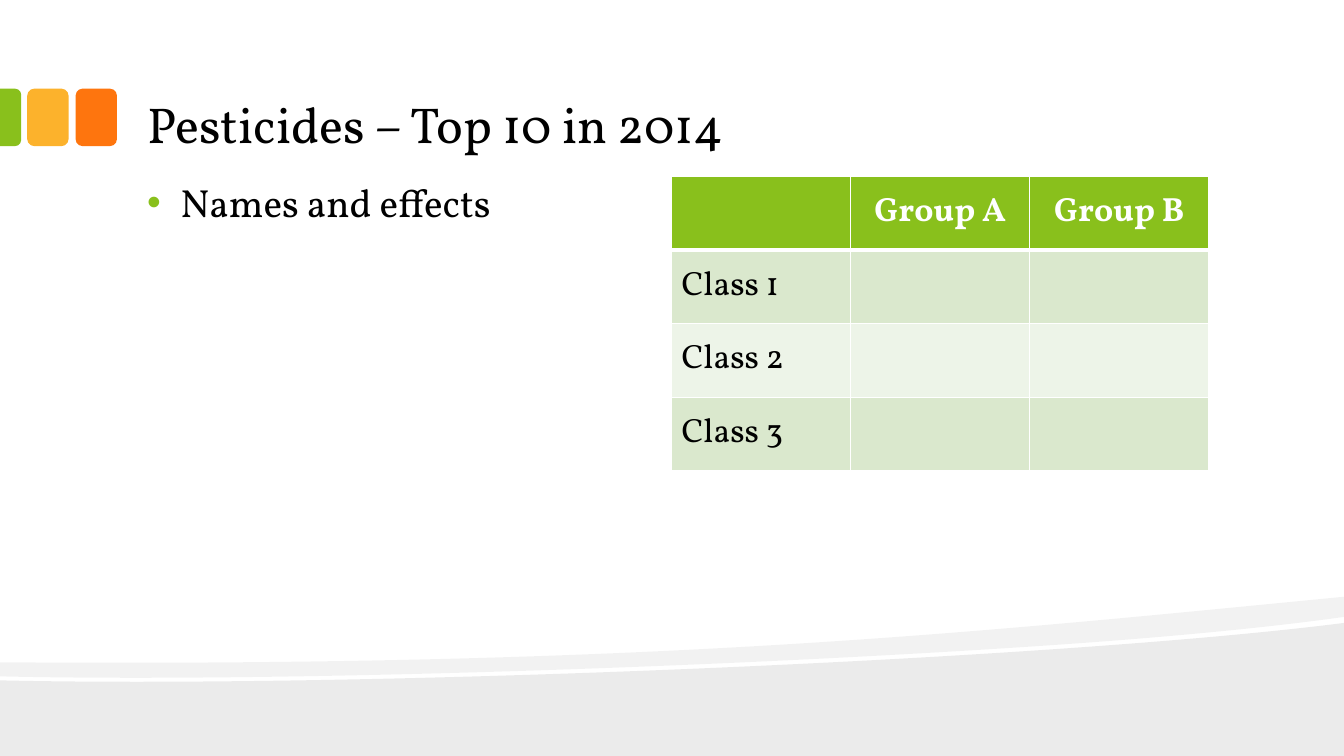
from dataclasses import dataclass

from lxml import etree
from pptx import Presentation
from pptx.dml.color import RGBColor
from pptx.enum.shapes import MSO_SHAPE
from pptx.enum.text import MSO_ANCHOR, PP_ALIGN
from pptx.oxml.ns import qn
from pptx.util import Inches, Pt

ROUNDED, ROUND_TOP = MSO_SHAPE.ROUNDED_RECTANGLE, MSO_SHAPE.ROUND_2_SAME_RECTANGLE
TOP, MIDDLE, BOTTOM = MSO_ANCHOR.TOP, MSO_ANCHOR.MIDDLE, MSO_ANCHOR.BOTTOM
LEFT, CENTER = PP_ALIGN.LEFT, PP_ALIGN.CENTER
WIDTH, HEIGHT = 13.33, 7.5
Point = tuple[float, float]


@dataclass(frozen=True)
class Theme:
    font: str = "Vollkorn"
    bullet_font: str = "Arial"
    ink: str = "000000"
    paper: str = "FFFFFF"
    green: str = "89C01C"
    yellow: str = "FCB22C"
    orange: str = "FE750E"
    bands: tuple[str, str] = ("DAE8CD", "EDF4E8")
    title: int = 36
    body: int = 28
    table: int = 24


@dataclass(frozen=True)
class Tile:
    left: float
    top: float
    width: float
    height: float
    color: str
    preset: int = ROUNDED
    rotation: int = 0
    corner: float = 0.17


@dataclass(frozen=True)
class Wave:
    """An outline whose segments are lines (one point) or curves (three points)."""
    start: Point
    segments: tuple[tuple[Point, ...], ...]
    opacity: int


THEME = Theme()
HILL = Wave((WIDTH, 6.18), (
    ((WIDTH, HEIGHT),),
    ((0, HEIGHT),),
    ((0, 6.75),),
    ((3.52, 6.83), (10.42, 6.55), (WIDTH, 6.18)),
), 8)
RIBBON = Wave((WIDTH, 5.92), (
    ((WIDTH, 6.12),),
    ((12.55, 6.23), (11.49, 6.33), (10.29, 6.41)),
    ((6.98, 6.63), (2.58, 6.77), (0, 6.71)),
    ((0, 6.57),),
    ((6.52, 6.62), (9.71, 6.27), (WIDTH, 5.92)),
), 5)
TILES = (
    Tile(0.75, 0.88, 0.41, 0.57, THEME.orange),
    Tile(0.27, 0.88, 0.41, 0.57, THEME.yellow),
    Tile(-0.18, 1.06, 0.57, 0.21, THEME.green, ROUND_TOP, 90, 0.29),
)
ROWS = (
    ("", "Group A", "Group B"),
    ("Class 1", "", ""),
    ("Class 2", "", ""),
    ("Class 3", "", ""),
)


def paint(shape, color: str) -> None:
    shape.shadow.inherit = False
    shape.fill.solid()
    shape.fill.fore_color.rgb = RGBColor.from_string(color)
    shape.line.fill.background()


def add_wave(page, wave: Wave) -> None:
    points = [(Inches(x), Inches(y)) for segment in wave.segments for x, y in segment]
    builder = page.shapes.build_freeform(*map(Inches, wave.start))
    builder.add_line_segments(points, close=True)
    shape = builder.convert_to_shape()
    paint(shape, THEME.ink)
    tint = shape._element.spPr.find(qn("a:solidFill")).find(qn("a:srgbClr"))
    etree.SubElement(tint, qn("a:alpha"), val=str(wave.opacity * 1000))
    # Merge the three steps of each curve into one Bezier segment
    steps = iter(list(shape._element.iter(qn("a:lnTo"))))
    for segment in wave.segments:
        parts = [next(steps) for _ in segment]
        if len(parts) == 3:
            bend = etree.Element(qn("a:cubicBezTo"))
            parts[0].addprevious(bend)
            for part in parts:
                bend.append(part[0])
                part.getparent().remove(part)


def add_tile(page, tile: Tile) -> None:
    box = (tile.left, tile.top, tile.width, tile.height)
    shape = page.shapes.add_shape(tile.preset, *map(Inches, box))
    shape.adjustments[0] = tile.corner
    shape.rotation = tile.rotation
    paint(shape, tile.color)


def write(para, text: str, size: int, color: str = THEME.ink, bold: bool = False) -> None:
    span = para.add_run()
    span.text = text
    formats = {"name": THEME.font, "size": Pt(size), "bold": bold}
    for name, value in formats.items():
        setattr(span.font, name, value)
    span.font.color.rgb = RGBColor.from_string(color)


def add_text(page, box: tuple[float, ...], text: str, size: int, anchor):
    frame = page.shapes.add_textbox(*map(Inches, box)).text_frame
    formats = {
        "word_wrap": True, "vertical_anchor": anchor,
        "margin_left": Inches(0.13), "margin_right": Inches(0.13),
        "margin_top": Inches(0.07), "margin_bottom": Inches(0.07),
    }
    for name, value in formats.items():
        setattr(frame, name, value)
    para = frame.paragraphs[0]
    write(para, text, size)
    return para


def add_bullet(para, color: str, indent: float) -> None:
    props = para._p.get_or_add_pPr()
    props.set("marL", str(Inches(indent)))
    props.set("indent", str(-Inches(indent)))
    tint = etree.SubElement(props, qn("a:buClr"))
    etree.SubElement(tint, qn("a:srgbClr"), val=color)
    etree.SubElement(props, qn("a:buFont"), typeface=THEME.bullet_font)
    etree.SubElement(props, qn("a:buChar"), char="•")


def add_border(cell, side: str, points: int) -> None:
    props = cell._tc.get_or_add_tcPr()
    line = etree.SubElement(props, qn(f"a:{side}"), w=str(Pt(points)))
    fill = etree.SubElement(line, qn("a:solidFill"))
    etree.SubElement(fill, qn("a:srgbClr"), val=THEME.paper)


def add_groups_table(page) -> None:
    box = (6.66, 1.75, 5.33, 2.92)
    table = page.shapes.add_table(len(ROWS), len(ROWS[0]), *map(Inches, box)).table
    table.horz_banding = False
    for row_index, texts in enumerate(ROWS):
        header = row_index == 0
        widths = {"lnL": 1, "lnR": 1, "lnT": 3 if row_index == 1 else 1, "lnB": 3 if header else 1}
        for column, text in enumerate(texts):
            cell = table.cell(row_index, column)
            cell.vertical_anchor = MIDDLE
            for side, points in widths.items():
                add_border(cell, side, points)
            cell.fill.solid()
            color = THEME.green if header else THEME.bands[(row_index - 1) % 2]
            cell.fill.fore_color.rgb = RGBColor.from_string(color)
            if text:
                para = cell.text_frame.paragraphs[0]
                para.alignment = CENTER if header else LEFT
                write(para, text, THEME.table, THEME.paper if header else THEME.ink, header)


deck = Presentation()
deck.slide_width, deck.slide_height = Inches(WIDTH), Inches(HEIGHT)
page = deck.slides.add_slide(deck.slide_layouts[6])

# Hill and ribbon along the foot
for wave in (HILL, RIBBON):
    add_wave(page, wave)

# Colour tiles beside the title
for tile in TILES:
    add_tile(page, tile)

# Title, table and bullet
add_text(page, (1.33, 0.17, 10.66, 1.42), "Pesticides – Top 10 in 2014", THEME.title, BOTTOM)
add_groups_table(page)
bullet = add_text(page, (1.33, 1.75, 5.33, 5), "Names and effects", THEME.body, TOP)
bullet.line_spacing = 0.9
bullet.space_before = Pt(18)
add_bullet(bullet, THEME.green, 0.33)

deck.save("out.pptx")
